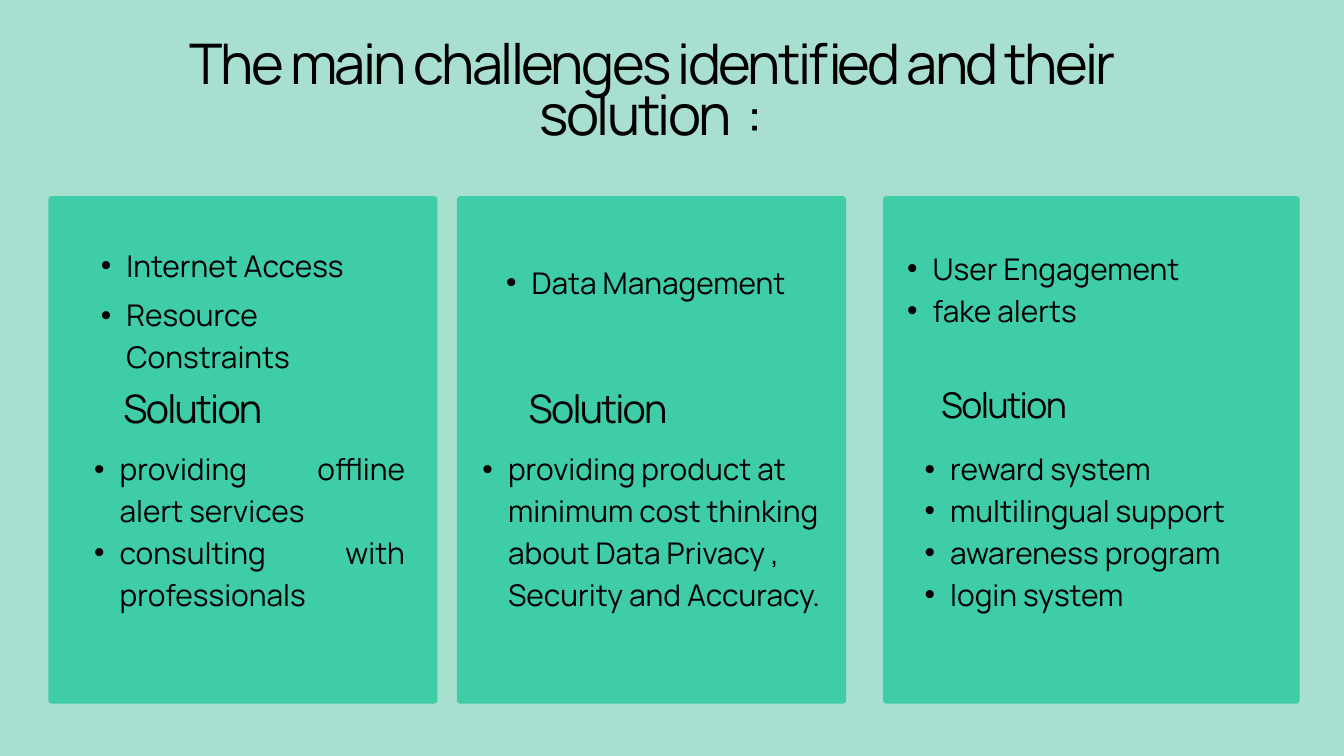
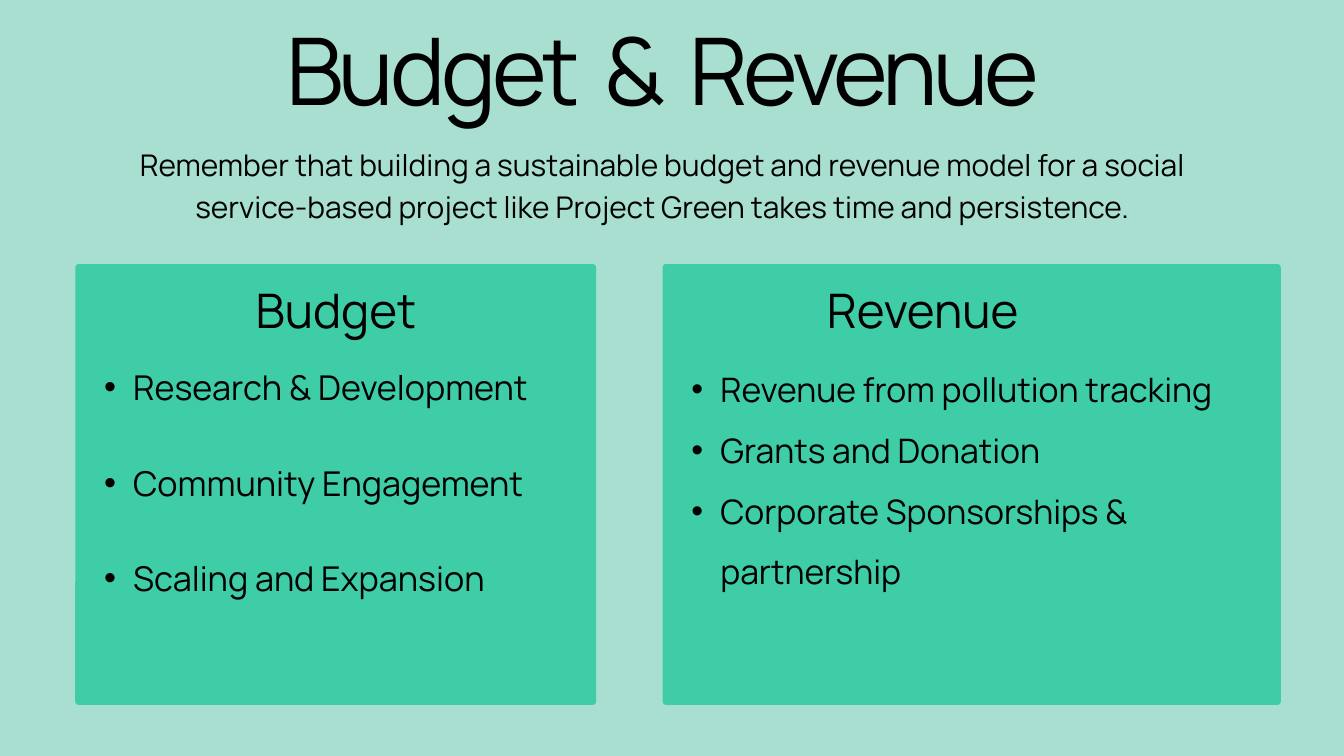
from lxml import etree
from pptx import Presentation
from pptx.dml.color import RGBColor
from pptx.enum.shapes import MSO_SHAPE
from pptx.enum.text import PP_ALIGN
from pptx.oxml.ns import qn
from pptx.util import Inches, Pt

ROUND = MSO_SHAPE.ROUNDED_RECTANGLE
LEFT, MID, JUST = PP_ALIGN.LEFT, PP_ALIGN.CENTER, PP_ALIGN.JUSTIFY
COLORS = {"back": "A9DFD0", "card": "3ECDA6", "ink": "000000"}
FONT = "Manrope"
RADIUS = 0.05


def color(name):
    return RGBColor.from_string(COLORS[name])


class Deck:
    """Holds the shared style and the current slide."""

    def __init__(self):
        self.prs = Presentation()
        self.prs.slide_width = Inches(20)
        self.prs.slide_height = Inches(11.25)
        self.slide = None

    def page(self):
        self.slide = self.prs.slides.add_slide(self.prs.slide_layouts[6])
        fill = self.slide.background.fill
        fill.solid()
        fill.fore_color.rgb = color("back")

    def card(self, x, y, w, h):
        box = self.slide.shapes.add_shape(ROUND, *map(Inches, (x, y, w, h)))
        box.adjustments[0] = RADIUS / min(w, h)
        box.shadow.inherit = False
        box.fill.solid()
        box.fill.fore_color.rgb = color("card")
        box.line.fill.background()

    def text(self, spot, lines, size, lead, align=MID, track=0, gap=0, hang=0):
        """Write one paragraph a line; hang sets a bullet with that indent."""
        frame = self.slide.shapes.add_textbox(*map(Inches, spot)).text_frame
        for name in ("left", "top", "right", "bottom"):
            setattr(frame, f"margin_{name}", 0)
        frame.word_wrap = True
        for num, line in enumerate(lines):
            para = frame.add_paragraph() if num else frame.paragraphs[0]
            if hang:
                self.bullet(para, hang)
            form = {"alignment": align, "line_spacing": Pt(lead)}
            if num and gap:
                form["space_before"] = Pt(gap)
            for key, value in form.items():
                setattr(para, key, value)
            run = para.add_run()
            run.text = line
            for key, value in {"name": FONT, "size": Pt(size)}.items():
                setattr(run.font, key, value)
            run.font.color.rgb = color("ink")
            if track:
                run.font._element.set("spc", str(round(track * 100)))

    def bullet(self, para, hang):
        props = para._p.get_or_add_pPr()
        props.set("marL", str(Inches(2 * hang)))
        props.set("indent", str(-Inches(hang)))
        etree.SubElement(props, qn("a:buFont")).set("typeface", "Arial")
        etree.SubElement(props, qn("a:buChar")).set("char", "•")

    def title(self, spot, words, size, track):
        """Large tight heading, its lines at 0.9 of the size."""
        self.text(spot, [words], size, 0.9 * size, track=track)

    def points(self, spot, lines, align=JUST):
        self.text(spot, lines, 32, 44.8, align, hang=0.38)


def challenges(deck):
    deck.page()
    for x, w in ((0.72, 5.79), (6.8, 5.79), (13.14, 6.2)):
        deck.card(x, 2.92, w, 7.55)
    deck.title((2.12, 0.68, 15.15, 1.57),
               "The main challenges identified and their solution  :", 60, -2.8)

    for spot, lines in (
        ((1.12, 3.59, 4.48, 0.6), ["Internet Access"]),
        ((1.12, 4.33, 4.68, 1.21), ["Resource Constraints"]),
        ((7.15, 3.85, 4.62, 1.21), ["Data Management"]),
        ((13.12, 3.64, 5.74, 1.21), ["User Engagement", "fake alerts"]),
    ):
        deck.points(spot, lines)

    for x, y, size, track in ((0.48, 5.89, 42, -1.9), (6.51, 5.89, 42, -1.9),
                              (12.55, 5.86, 38, -1.7)):
        deck.title((x, y, 4.78, 0.57), "Solution", size, track)

    for x, w, align, lines in (
        (1.02, 5.01, JUST, ["providing offline alert services",
                            "consulting with professionals"]),
        (6.8, 5.81, LEFT, ["providing product at minimum cost thinking "
                           "about Data Privacy , Security and Accuracy."]),
        (13.38, 5.23, JUST, ["reward system", "multilingual support",
                             "awareness program", "login system"]),
    ):
        deck.points((x, 6.62, w, 2.44), lines, align)


def budget(deck):
    deck.page()
    deck.title((1.48, 0.6, 16.76, 1.35), "Budget  &  Revenue", 100, -4.6)
    deck.text((1.77, 2.1, 16.18, 1.21),
              ["Remember that building a sustainable budget and revenue model "
               "for a social service-based project like Project Green takes "
               "time and persistence."], 32, 44.8)
    for x, w, head_x, head in ((1.12, 7.75, 2.96, "Budget"),
                               (9.86, 9.2, 11.69, "Revenue")):
        deck.card(x, 3.93, w, 6.56)
        deck.text((head_x, 4.04, 4.08, 0.97), [head], 51, 71.4)

    deck.text((1.12, 5.35, 7.75, 5.66),
              ["Research & Development", "Community Engagement",
               "Scaling and Expansion"],
              36.6, 51.2, LEFT, gap=51.2, hang=0.43)
    deck.text((9.86, 5.19, 9.2, 5.3),
              ["Revenue from pollution tracking", "Grants and Donation",
               "Corporate Sponsorships & partnership"],
              36.1, 65, LEFT, hang=0.43)


def main():
    deck = Deck()
    challenges(deck)
    budget(deck)
    deck.prs.save("out.pptx")


if __name__ == "__main__":
    main()
